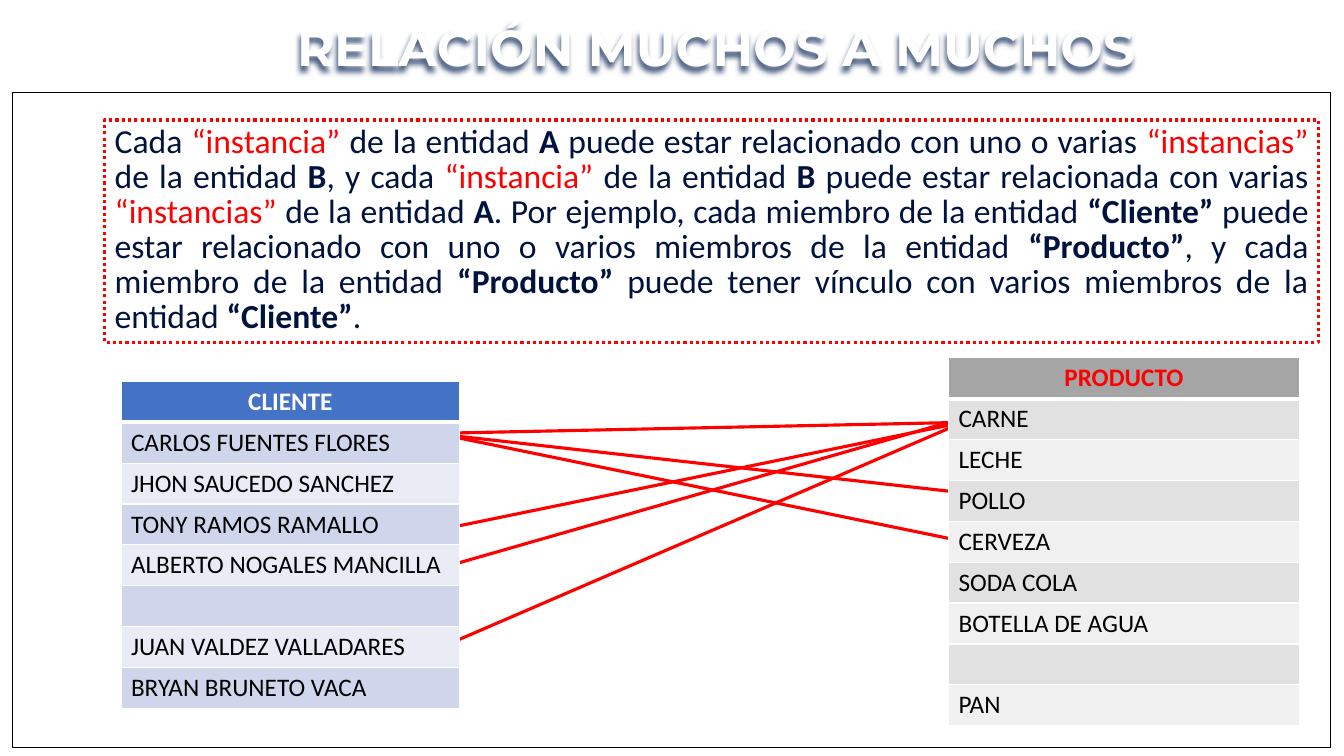
from dataclasses import dataclass
from lxml.etree import SubElement
from pptx import Presentation
from pptx.dml.color import RGBColor
from pptx.enum.dml import MSO_LINE
from pptx.enum.shapes import MSO_CONNECTOR, MSO_SHAPE
from pptx.enum.text import MSO_ANCHOR, PP_ALIGN
from pptx.oxml import parse_xml
from pptx.oxml.ns import nsdecls, qn
from pptx.util import Pt


@dataclass(frozen=True)
class Theme:
    white: str = "FFFFFF"
    black: str = "000000"
    red: str = "FF0000"
    navy: str = "00133F"
    shade: str = "1F3864"
    blue: tuple = ("4472C4", "CFD5EA", "E9EBF5")
    gray: tuple = ("A5A5A5", "E1E1E1", "F0F0F0")
    head: str = "Montserrat"
    body: str = "Calibri"
    title: int = 36
    text: int = 24
    cell: int = 18


THEME = Theme()
PLAIN, BOLD, RED = (THEME.navy, False), (THEME.navy, True), (THEME.red, False)

RULE = [
    ("Cada ", PLAIN), ("“instancia” ", RED), ("de la entidad ", PLAIN),
    ("A", BOLD), (" puede estar relacionado con uno o varias ", PLAIN),
    ("“instancias” ", RED), ("de la entidad ", PLAIN), ("B", BOLD),
    (", y cada ", PLAIN), ("“instancia” ", RED), ("de la entidad ", PLAIN),
    ("B", BOLD), (" puede estar relacionada con varias ", PLAIN),
    ("“instancias” ", RED), ("de la entidad ", PLAIN), ("A", BOLD),
    (". Por ejemplo, cada miembro de la entidad ", PLAIN),
    ("“Cliente” ", BOLD),
    ("puede estar relacionado con uno o varios miembros de la entidad ", PLAIN),
    ("“Producto”", BOLD), (", y cada miembro de la entidad ", PLAIN),
    ("“Producto” ", BOLD),
    ("puede tener vínculo con varios miembros de la entidad ", PLAIN),
    ("“Cliente”", BOLD), (".", PLAIN),
]

CLIENTS = ["CLIENTE", "CARLOS FUENTES FLORES", "JHON SAUCEDO SANCHEZ",
           "TONY RAMOS RAMALLO", "ALBERTO NOGALES MANCILLA", "",
           "JUAN VALDEZ VALLADARES", "BRYAN BRUNETO VACA"]
GOODS = ["PRODUCTO", "CARNE", "LECHE", "POLLO", "CERVEZA", "SODA COLA",
         "BOTELLA DE AGUA", "", "PAN"]

# Start and end of each link, measured from the corner of its box
LINKS = [((0, 162.7), (377.3, 0)), ((5.8, 103.7), (367.2, 0)),
         ((5.8, 76.3), (377.3, 0)), ((5.1, 8.6), (377.3, 84.9)),
         ((5.1, 8.6), (378.7, 50.4)), ((0, 7.9), (377.3, 0))]


def color(code):
    return RGBColor.from_string(code)


def add_run(para, text, size, code, bold=False, face=THEME.body):
    run = para.add_run()
    run.text = text
    font = run.font
    font.size, font.bold, font.name = Pt(size), bold, face
    font.color.rgb = color(code)


def add_rect(slide, box, line, width):
    rect = slide.shapes.add_shape(MSO_SHAPE.RECTANGLE, *map(Pt, box))
    rect.shadow.inherit = False
    rect.line.color.rgb = color(line)
    rect.line.width = Pt(width)
    return rect


# Page frame
def add_frame(slide, box):
    rect = add_rect(slide, box, THEME.black, 0.75)
    rect.fill.solid()
    rect.fill.fore_color.rgb = color(THEME.white)


# Title with a soft shadow
def add_title(slide, box, text):
    shape = slide.shapes.add_textbox(*map(Pt, box))
    frame = shape.text_frame
    frame.word_wrap = True
    frame.margin_left = frame.margin_right = 0
    frame.margin_top = frame.margin_bottom = 0
    para = frame.paragraphs[0]
    para.alignment = PP_ALIGN.CENTER
    add_run(para, text, THEME.title, THEME.white, True, THEME.head)
    shape.element.spPr.append(parse_xml(
        f'<a:effectLst {nsdecls("a")}><a:outerShdw blurRad="50800" '
        'dist="50800" dir="6600000" algn="t" rotWithShape="0">'
        f'<a:srgbClr val="{THEME.shade}"><a:alpha val="80000"/></a:srgbClr>'
        '</a:outerShdw></a:effectLst>'))


# Dotted box with the rule
def add_rule(slide, box, parts):
    rect = add_rect(slide, box, THEME.red, 2.25)
    rect.fill.background()
    rect.line.dash_style = MSO_LINE.ROUND_DOT
    frame = rect.text_frame
    frame.word_wrap = True
    frame.vertical_anchor = MSO_ANCHOR.TOP
    para = frame.paragraphs[0]
    para.alignment = PP_ALIGN.JUSTIFY
    para.line_spacing = Pt(25)
    for text, (code, bold) in parts:
        add_run(para, text, THEME.text, code, bold)


# Links between members
def add_links(slide, box, links):
    left, top = box[:2]
    for (ax, ay), (bx, by) in links:
        line = slide.shapes.add_connector(
            MSO_CONNECTOR.STRAIGHT, Pt(left + ax), Pt(top + ay),
            Pt(left + bx), Pt(top + by))
        line.line.color.rgb = color(THEME.red)
        line.line.width = Pt(2.25)
        SubElement(line.element.spPr, qn("a:effectLst"))


def add_edges(cell, top, bottom):
    props = cell._tc.get_or_add_tcPr()
    for side, width in (("L", 1), ("R", 1), ("T", top), ("B", bottom)):
        props.append(parse_xml(
            f'<a:ln{side} {nsdecls("a")} w="{Pt(width)}"><a:solidFill>'
            f'<a:srgbClr val="{THEME.white}"/></a:solidFill></a:ln{side}>'))


# Table of one entity
def add_entity(slide, box, names, fills, ink):
    table = slide.shapes.add_table(len(names), 1, *map(Pt, box)).table
    for row, name in enumerate(names):
        table.rows[row].height = Pt(box[3] / len(names))
        cell = table.cell(row, 0)
        add_edges(cell, 3 if row == 1 else 1, 1 if row else 3)
        cell.fill.solid()
        shade = fills[2 - row % 2] if row else fills[0]
        cell.fill.fore_color.rgb = color(shade)
        para = cell.text_frame.paragraphs[0]
        para.font.size = Pt(THEME.cell)
        if row == 0:
            para.alignment = PP_ALIGN.CENTER
        if name:
            add_run(para, name, THEME.cell, THEME.black if row else ink, row == 0)


def main():
    deck = Presentation()
    deck.slide_width, deck.slide_height = Pt(960), Pt(540)
    slide = deck.slides.add_slide(deck.slide_layouts[6])
    add_frame(slide, (8.6, 66.2, 941.8, 468))
    add_links(slide, (310.3, 301.7, 378.7, 162.7), LINKS)
    add_title(slide, (103, 11.5, 817.2, 44), "RELACIÓN MUCHOS A MUCHOS")
    add_rule(slide, (74.9, 85.7, 866.9, 159.1), RULE)
    add_entity(slide, (86.4, 272.4, 242, 233.6), CLIENTS, THEME.blue, THEME.white)
    add_entity(slide, (677.5, 255.6, 250.6, 262.8), GOODS, THEME.gray, THEME.red)
    deck.save("out.pptx")


if __name__ == "__main__":
    main()
